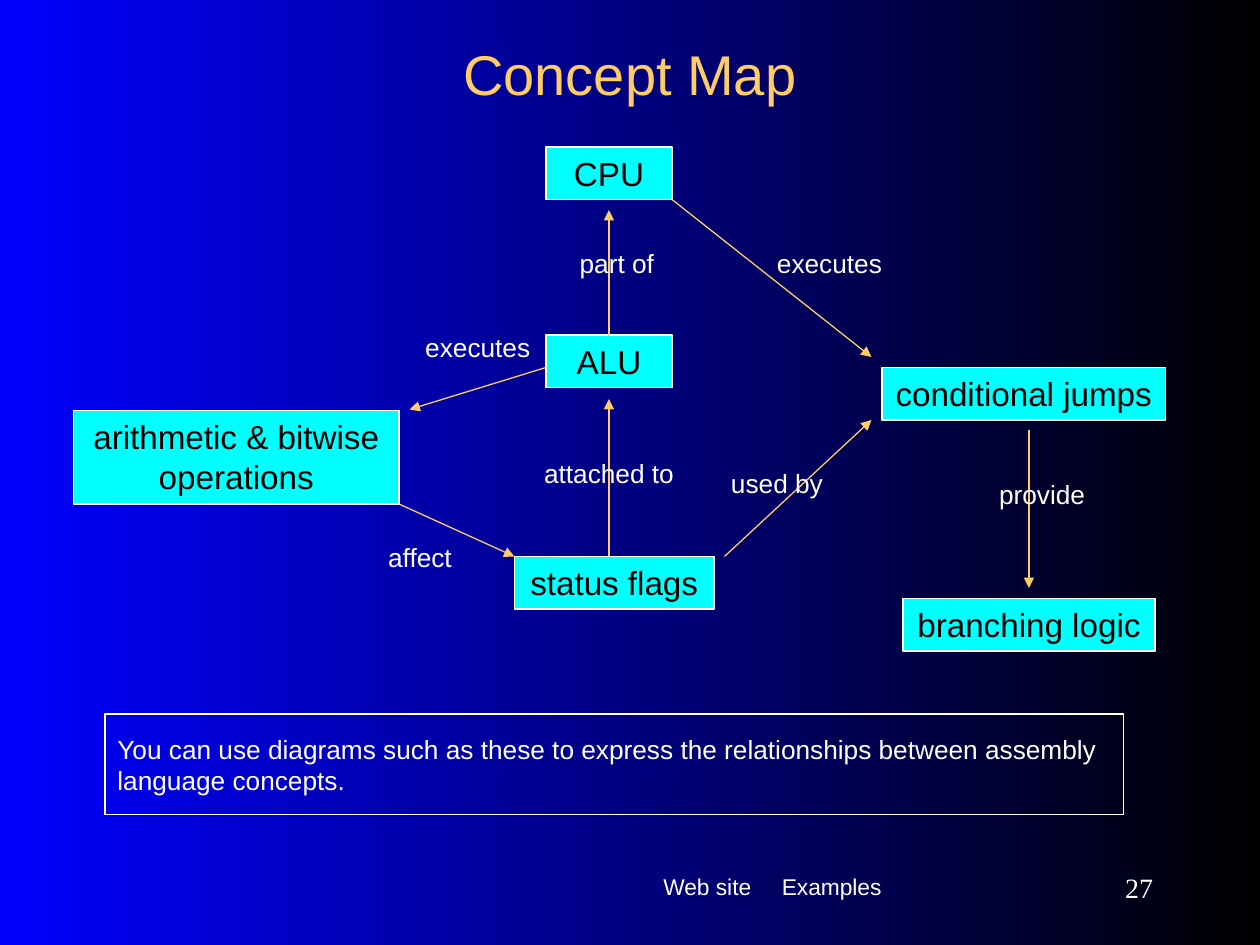
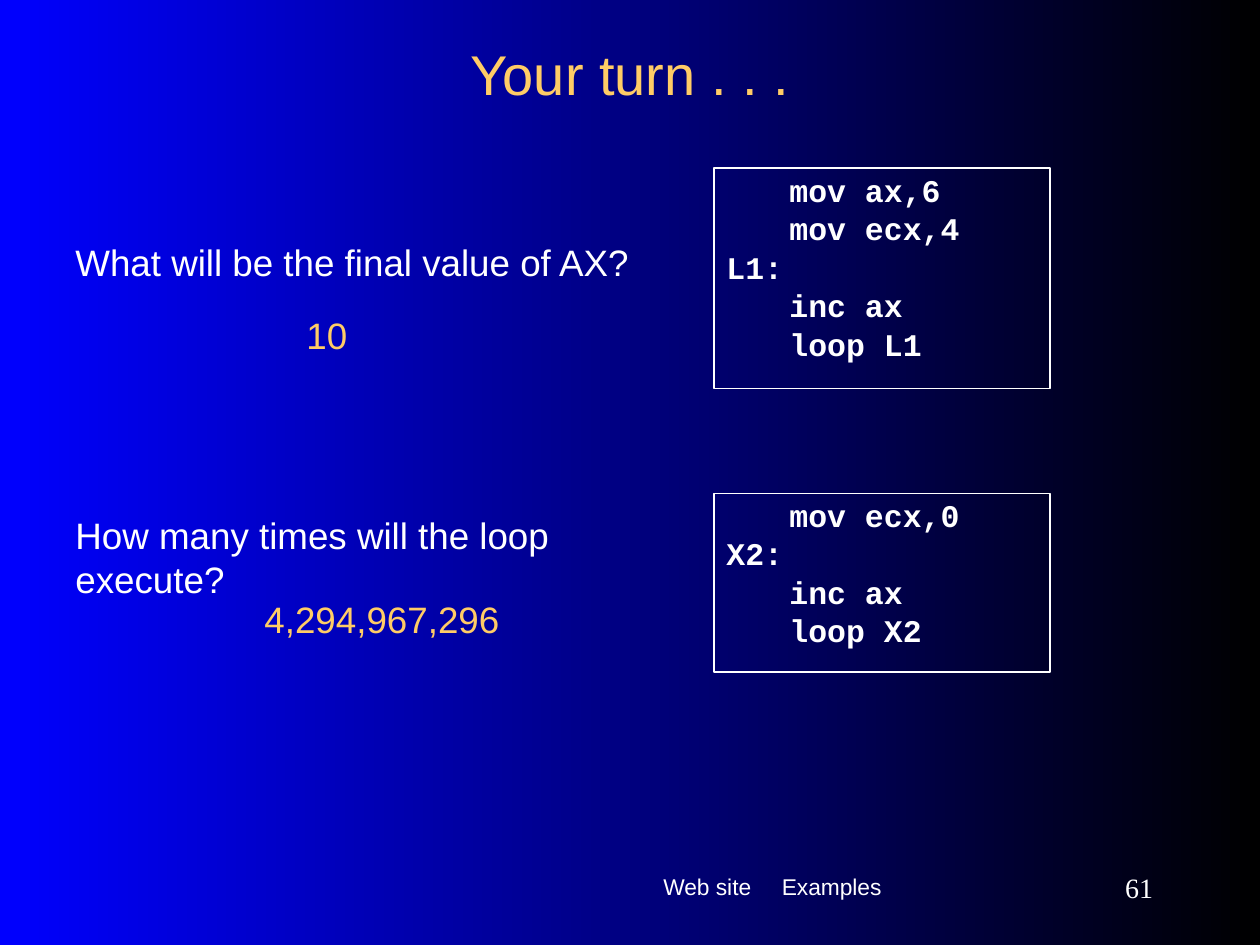
from lxml import etree
from pptx import Presentation
from pptx.dml.color import RGBColor
from pptx.enum.shapes import MSO_CONNECTOR, MSO_SHAPE
from pptx.enum.text import MSO_ANCHOR, PP_ALIGN
from pptx.oxml.ns import qn
from pptx.util import Inches, Pt

LEFT, CENTER, RIGHT = PP_ALIGN.LEFT, PP_ALIGN.CENTER, PP_ALIGN.RIGHT
TOP, MIDDLE = MSO_ANCHOR.TOP, MSO_ANCHOR.MIDDLE
RECTANGLE, STRAIGHT = MSO_SHAPE.RECTANGLE, MSO_CONNECTOR.STRAIGHT

BLACK = RGBColor(0x00, 0x00, 0x00)
BLUE = RGBColor(0x00, 0x00, 0xFF)
WHITE = RGBColor(0xFF, 0xFF, 0xFF)
CYAN = RGBColor(0x00, 0xFF, 0xFF)
GOLD = RGBColor(0xFF, 0xCC, 0x66)

SANS, MONO, SERIF = "Arial", "Courier New", "Times New Roman"
LINE_WIDTH = Pt(0.75)

prs = Presentation()
prs.slide_width, prs.slide_height = Inches(10), Inches(7.5)
COLUMN, ROW = prs.slide_width / 120, prs.slide_height / 90


def grid(column, row):
    return round(column * COLUMN), round(row * ROW)


def put_text(slide, text, cell, size=15, color=WHITE, font=SANS, bold=False,
             align=LEFT, anchor=TOP, inset=(0.1, 0.15), framed=False,
             fill=None, tab=None, line_spacing=None, space_before=0):
    column, row, columns, rows = cell
    area = grid(column, row) + grid(columns, rows)
    if framed:
        box = slide.shapes.add_shape(RECTANGLE, *area)
        box.shadow.inherit = False
        box.line.color.rgb = WHITE
        box.line.width = LINE_WIDTH
        if fill is None:
            box.fill.background()
        else:
            box.fill.solid()
            box.fill.fore_color.rgb = fill
    else:
        box = slide.shapes.add_textbox(*area)
    frame = box.text_frame
    frame.word_wrap = True
    frame.vertical_anchor = anchor
    frame.margin_left = frame.margin_right = Inches(inset[0])
    frame.margin_top = frame.margin_bottom = Inches(inset[1])
    for index, line in enumerate(text.split("\n")):
        paragraph = frame.add_paragraph() if index else frame.paragraphs[0]
        if tab:
            stops = etree.SubElement(paragraph._p.get_or_add_pPr(), qn("a:tabLst"))
            etree.SubElement(stops, qn("a:tab"), pos=str(Inches(tab)), algn="l")
        paragraph.alignment = align
        paragraph.space_before = Pt(space_before if index else 0)
        if line_spacing:
            paragraph.line_spacing = line_spacing
        run = paragraph.add_run()
        run.text = line
        run.font.name, run.font.size, run.font.bold = font, Pt(size), bold
        run.font.color.rgb = color


backdrop = prs.slide_master.background.fill
backdrop.gradient()
backdrop.gradient_angle = 180
for stop, color in zip(backdrop.gradient_stops, (BLACK, BLUE)):
    stop.color.rgb = color

pages = []
for title, number in (("Concept Map", "27"), ("Your turn . . .", "61")):
    page = prs.slides.add_slide(prs.slide_layouts[6])
    put_text(page, "Web site\tExamples", (62, 81.84, 36, 6.24), size=13, tab=0.94)
    put_text(page, title, (9, 3, 102, 8), size=32, color=GOLD,
             align=CENTER, anchor=MIDDLE, inset=(0.1, 0.05))
    put_text(page, number, (98, 82, 13, 5), size=16, font=SERIF,
             align=RIGHT, anchor=MIDDLE, inset=(0.1, 0.05))
    pages.append(page)
concept_map, your_turn = pages

concepts = [
    ("CPU", (52, 14, 12, 5)),
    ("ALU", (52, 31.9, 12, 5)),
    ("status flags", (49, 53, 19, 5)),
    ("conditional jumps", (84, 35, 27, 5)),
    ("branching logic", (86, 57, 24, 5)),
    ("arithmetic & bitwise operations", (7, 39.1, 31, 8.9)),
]
for concept, cell in concepts:
    put_text(concept_map, concept, cell, size=19, color=BLACK, align=CENTER,
             inset=(0.05, 0.05), framed=True, fill=CYAN)

relations = [
    ("part of", (58, 32), (58, 20), (52.25, 22, 13)),
    ("affect", (38, 48), (49, 53), (28, 50, 24)),
    ("attached to", (58, 53), (58, 38), (46, 42, 24)),
    ("used by", (69, 53), (83, 40), (62, 43, 24)),
    ("provide", (98, 41), (98, 56), (87.25, 44, 24)),
    ("executes", (64, 19), (83, 34), (67, 22, 24)),
    ("executes", (52, 35), (39, 39), (38, 30, 15)),
]
for relation, start, end, label_cell in relations:
    arrow = concept_map.shapes.add_connector(STRAIGHT, *grid(*start), *grid(*end))
    arrow.line.color.rgb = GOLD
    arrow.line.width = LINE_WIDTH
    etree.SubElement(arrow.line._get_or_add_ln(), qn("a:tailEnd"), type="triangle")
    etree.SubElement(arrow._element.spPr, qn("a:effectLst"))
    put_text(concept_map, relation, label_cell + (6.6,), align=CENTER)

put_text(concept_map,
         "You can use diagrams such as these to express the relationships "
         "between assembly language concepts.",
         (10, 68, 97, 9.6), framed=True)

exercises = [
    ("What will be the final value of AX?", (6, 21, 66, 7.8),
     "10", (28, 28, 8, 7.8),
     "\tmov ax,6\n\tmov ecx,4\nL1:\n\tinc ax\n\tloop L1", (68, 16, 32, 21)),
    ("How many times will the loop execute?", (6, 47, 56, 12),
     "4,294,967,296", (24, 55, 28, 7.8),
     "\tmov ecx,0\nX2:\n\tinc ax\n\tloop X2", (68, 47, 32, 17)),
]
for question, question_cell, answer, answer_cell, code, code_cell in exercises:
    put_text(your_turn, question, question_cell, size=21)
    put_text(your_turn, code, code_cell, size=18, font=MONO, bold=True, framed=True,
             tab=0.5, line_spacing=0.5, space_before=11.2)
    put_text(your_turn, answer, answer_cell, size=21, color=GOLD)

prs.save("out.pptx")
